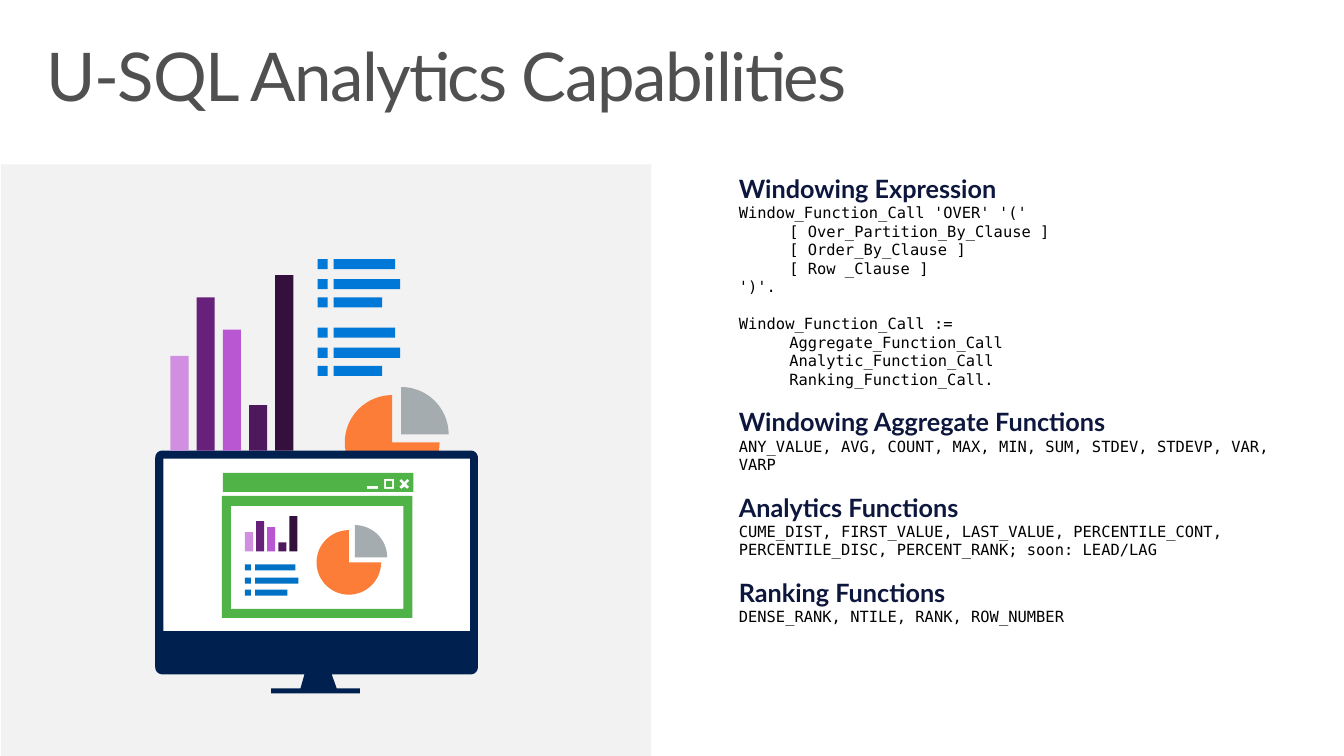
from copy import deepcopy
from math import cos, radians, sin

from pptx import Presentation
from pptx.dml.color import RGBColor
from pptx.enum.shapes import MSO_SHAPE
from pptx.enum.text import MSO_AUTO_SIZE
from pptx.util import Inches, Pt

BAR_COLORS = ("D08FE1", "68217A", "B957D2", "4E195C", "34103D")
ORANGE, GRAY, GREEN, NAVY, WHITE = "FB7D37", "A5ACAF", "50B347", "002050", "FFFFFF"

SECTIONS = [
    ("Windowing Expression", [
        ["Window_Function_Call 'OVER' '('",
         "\t[ Over_Partition_By_Clause ]",
         "\t[ Order_By_Clause ]",
         "\t[ Row _Clause ]",
         "')'."],
        ["Window_Function_Call :=",
         "\tAggregate_Function_Call",
         "\tAnalytic_Function_Call",
         "\tRanking_Function_Call."]]),
    ("Windowing Aggregate Functions", [
        ["ANY_VALUE, AVG, COUNT, MAX, MIN, SUM, STDEV, STDEVP, VAR, VARP"]]),
    ("Analytics Functions", [
        ["CUME_DIST, FIRST_VALUE, LAST_VALUE, PERCENTILE_CONT, "
         "PERCENTILE_DISC, PERCENT_RANK; soon: LEAD/LAG"]]),
    ("Ranking Functions", [["DENSE_RANK, NTILE, RANK, ROW_NUMBER"]]),
]


def color(value):
    return RGBColor.from_string(value)


def arc(center_x, center_y, radius, start, end, steps=24):
    """Points of an arc; degrees run clockwise from three o'clock."""
    angles = [radians(start + (end - start) * i / steps) for i in range(steps + 1)]
    return [(center_x + radius * cos(a), center_y + radius * sin(a)) for a in angles]


def frame(left, top, width, height):
    """Corner points of a rectangle."""
    right, bottom = left + width, top + height
    return [(left, top), (right, top), (right, bottom), (left, bottom)]


class SlideBuilder:
    heading = dict(font="Lato", size=18, ink="0D163D", bold=True)
    code = dict(font="DejaVu Sans Mono", size=11, ink="000000")
    title_style = dict(font="Lato", size=48, ink="505050")
    gap = Pt(13)

    def __init__(self, page):
        self.page = page

    def paint(self, shape, fill):
        shape.shadow.inherit = False
        shape.fill.solid()
        shape.fill.fore_color.rgb = color(fill)
        shape.line.fill.background()

    def rect(self, left, top, width, height, fill):
        shape = self.page.shapes.add_shape(
            MSO_SHAPE.RECTANGLE, Inches(left), Inches(top), Inches(width), Inches(height))
        self.paint(shape, fill)

    def outline(self, fill, *contours):
        """Filled outline; every contour after the first is a hole."""
        contours = [[(Inches(x), Inches(y)) for x, y in points] for points in contours]
        builder = self.page.shapes.build_freeform(*contours[0][0], scale=1.0)
        for number, points in enumerate(contours):
            if number:
                builder.move_to(*points[0])
            builder.add_line_segments(points[1:], close=True)
        self.paint(builder.convert_to_shape(), fill)

    def bars(self, left, bottom, step, width, heights):
        for i, (height, fill) in enumerate(zip(heights, BAR_COLORS)):
            self.rect(left + i * step, bottom - height, width, height, fill)

    def bullet_lines(self, left, tops, size, indent, widths, fill):
        for top, width in zip(tops, widths):
            self.rect(left, top, size, size, fill)
            self.rect(left + indent, top, width, size, fill)

    def pie(self, center_x, center_y, radius, offset_x, offset_y):
        """Three-quarter pie with its last quarter pulled out."""
        center = (center_x, center_y)
        self.outline(ORANGE, [center] + arc(*center, radius, 0, 270, 48))
        quarter = (center_x + offset_x, center_y - offset_y)
        self.outline(GRAY, [quarter] + arc(*quarter, radius, -90, 0))

    def text_box(self, left, top, width, height):
        box = self.page.shapes.add_textbox(
            Inches(left), Inches(top), Inches(width), Inches(height))
        box.text_frame.word_wrap = True
        return box.text_frame

    def span(self, para, text, font, size, ink, bold=False):
        span = para.add_run()
        span.text = text
        span.font.name = font
        span.font.size = Pt(size)
        span.font.bold = bold
        span.font.color.rgb = color(ink)
        return span

    def lines(self, para, texts, style):
        """Runs parted by line breaks that keep the size of the text."""
        for i, text in enumerate(texts):
            if i:
                para.add_line_break()
                para._p[-1].append(deepcopy(span._r.rPr))
            span = self.span(para, text, **style)

    def title(self, text):
        text_frame = self.text_box(0.3, 0.33, 12.73, 0.94)
        text_frame.margin_left = text_frame.margin_right = Inches(0.16)
        text_frame.margin_top = text_frame.margin_bottom = Inches(0.1)
        para = text_frame.paragraphs[0]
        para.line_spacing = 0.9
        span = self.span(para, text, **self.title_style)
        span._r.rPr.set("spc", "-100")

    def sections(self, sections):
        text_frame = self.text_box(7.23, 1.67, 5.6, 4.46)
        text_frame.auto_size = MSO_AUTO_SIZE.SHAPE_TO_FIT_TEXT
        for i, (heading, blocks) in enumerate(sections):
            para = text_frame.add_paragraph() if i else text_frame.paragraphs[0]
            if i:
                para.space_before = self.gap
            self.span(para, heading, **self.heading)
            for j, block in enumerate(blocks):
                para = text_frame.add_paragraph()
                if j:
                    para.space_before = self.gap
                self.lines(para, block, self.code)

    def monitor(self):
        radius = 0.07
        left, right, top, bottom = 1.54 + radius, 4.74 - radius, 4.47 + radius, 6.69 - radius
        stand = [(3.29, 6.69), (3.34, 6.83), (3.57, 6.83), (3.57, 6.88),
                 (2.69, 6.88), (2.69, 6.83), (2.98, 6.83), (3.02, 6.69)]
        self.outline(NAVY, arc(left, top, radius, 180, 270, 8)
                     + arc(right, top, radius, 270, 360, 8)
                     + arc(right, bottom, radius, 0, 90, 8)
                     + stand + arc(left, bottom, radius, 90, 180, 8))
        self.rect(1.62, 4.55, 3.04, 1.71, WHITE)

    def window(self):
        cross = [(4.06, 4.83), (4.04, 4.85), (4.01, 4.83), (3.98, 4.85),
                 (3.96, 4.83), (3.99, 4.8), (3.96, 4.77), (3.98, 4.75),
                 (4.01, 4.78), (4.04, 4.75), (4.06, 4.77), (4.03, 4.8)]
        self.outline(GREEN, frame(2.21, 4.69, 1.89, 0.19),
                     frame(3.64, 4.82, 0.11, 0.03), frame(3.81, 4.75, 0.1, 0.1), cross)
        self.rect(3.83, 4.77, 0.06, 0.06, GREEN)
        self.outline(GREEN, frame(2.2, 4.92, 1.89, 1.21), frame(2.29, 5.02, 1.71, 1.02))


def main():
    deck = Presentation()
    deck.slide_width, deck.slide_height = Inches(13.33), Inches(7.5)
    slide = SlideBuilder(deck.slides.add_slide(deck.slide_layouts[6]))

    slide.rect(0.01, 1.63, 6.45, 5.87, "F2F2F2")
    slide.title("U-SQL Analytics Capabilities")
    slide.sections(SECTIONS)

    slide.pie(3.89, 4.39, 0.47, 0.09, 0.08)
    slide.monitor()
    slide.bullet_lines(2.43, (5.6, 5.73, 5.85), 0.06, 0.1, (0.4, 0.43, 0.32), "0072C6")
    slide.bars(2.43, 5.47, 0.11, 0.08, (0.19, 0.3, 0.24, 0.09, 0.35))
    slide.pie(3.46, 5.58, 0.32, 0.06, 0.05)
    slide.window()

    slide.bars(1.69, 4.47, 0.26, 0.18, (0.94, 1.52, 1.2, 0.45, 1.74))
    for tops in ((2.57, 2.77, 2.95), (3.25, 3.45, 3.63)):
        slide.bullet_lines(3.15, tops, 0.1, 0.16, (0.61, 0.66, 0.48), "0078D7")

    deck.save("out.pptx")


if __name__ == "__main__":
    main()
